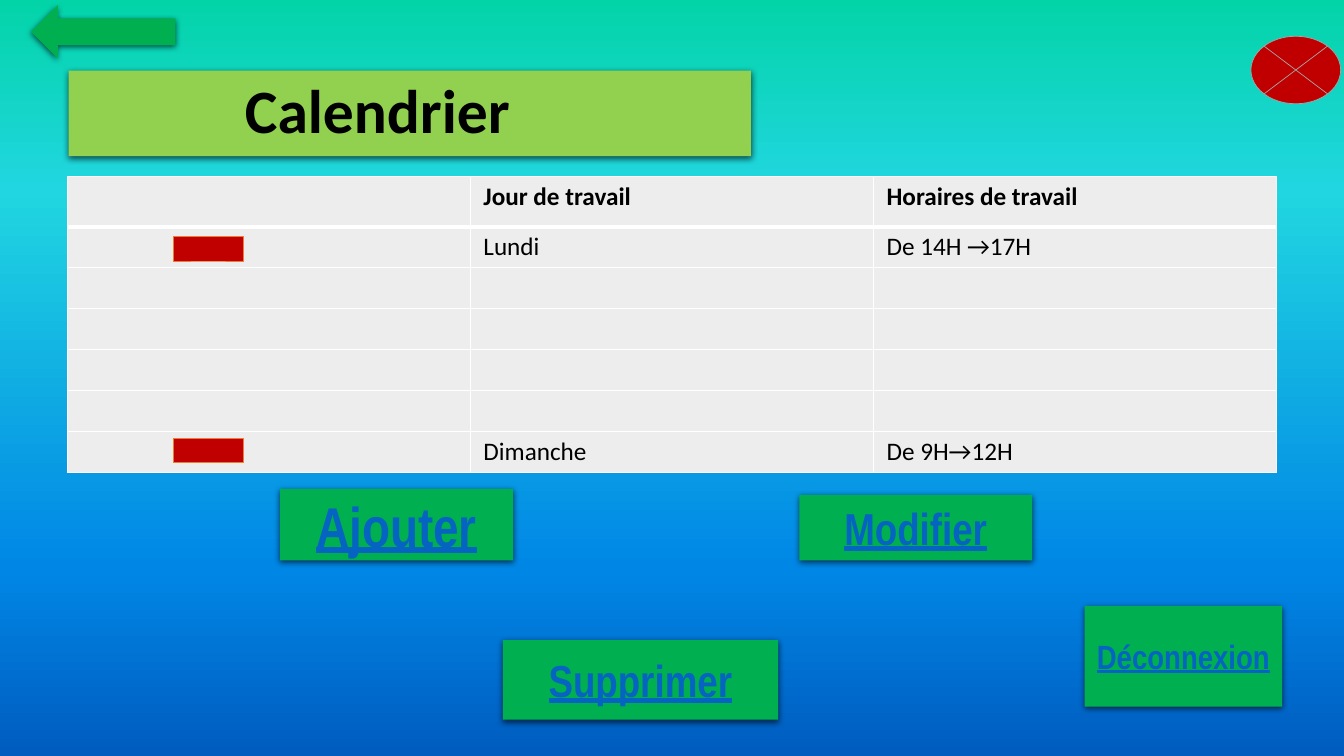
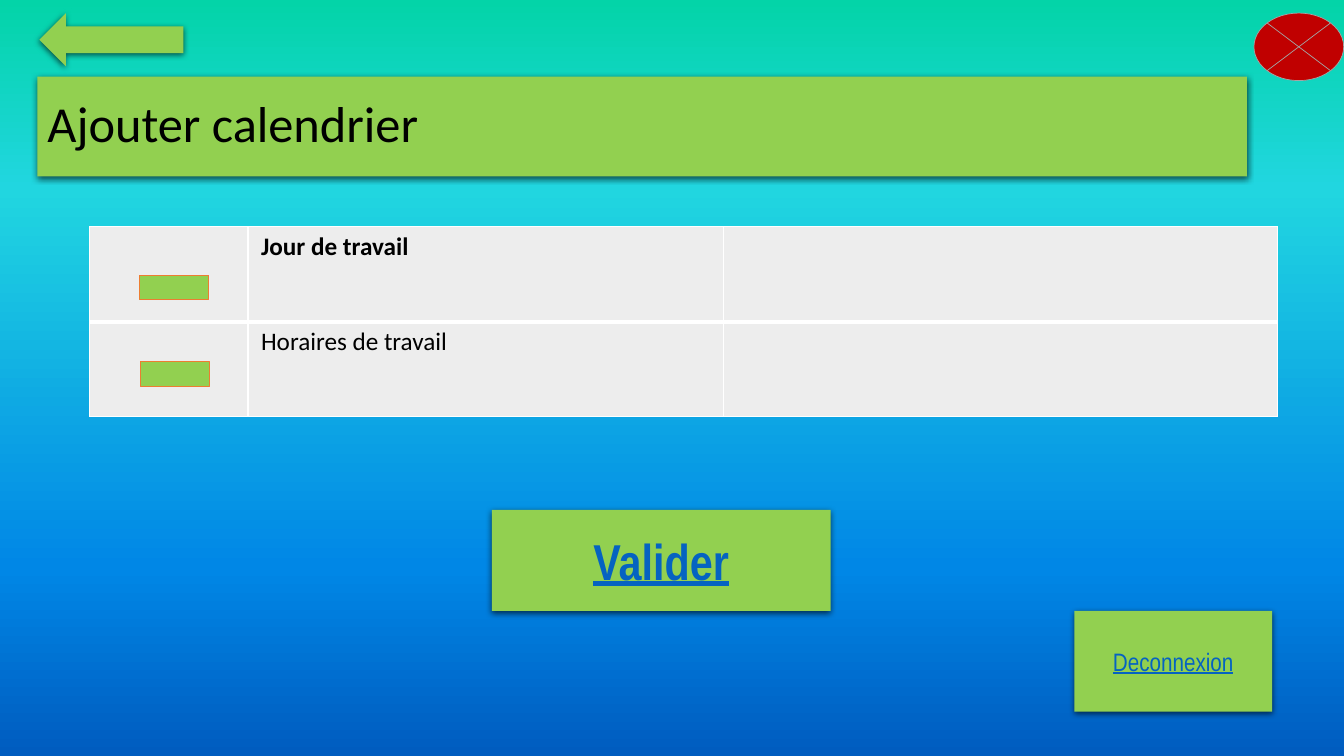
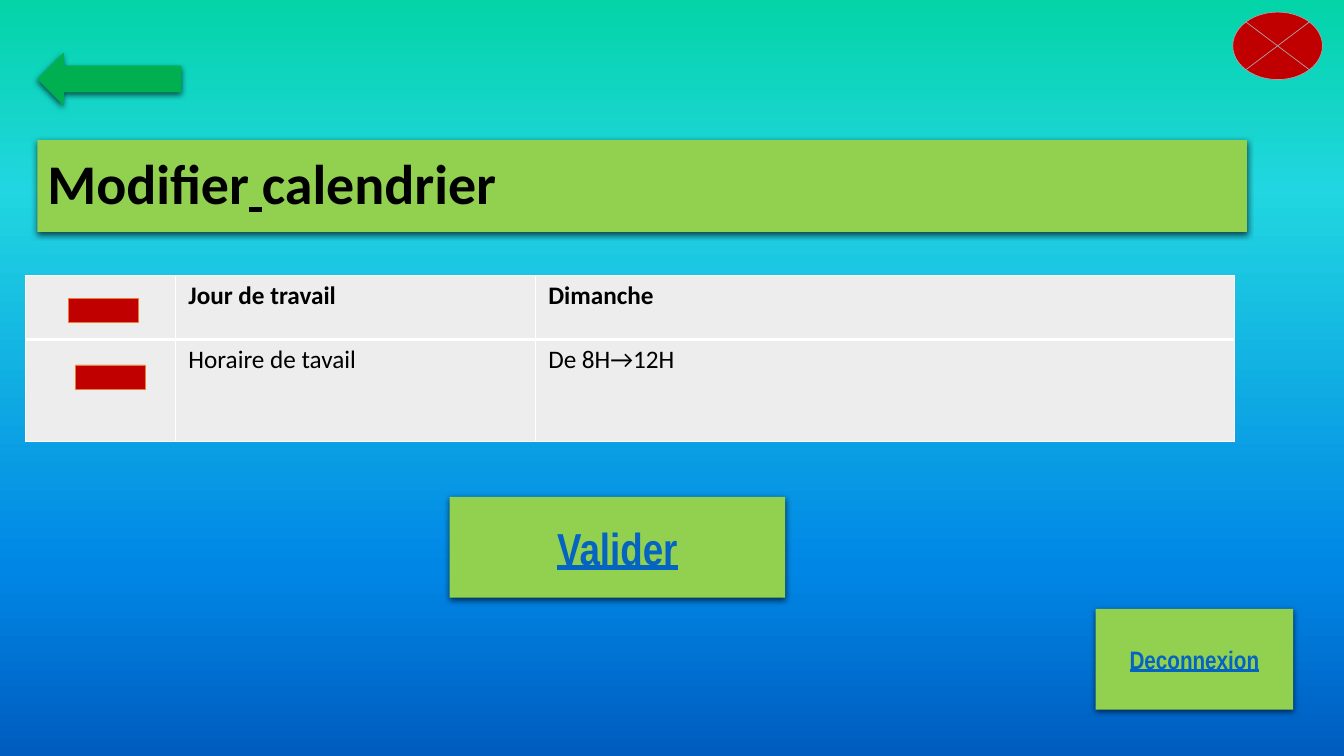
from dataclasses import dataclass

from lxml import etree
from pptx import Presentation
from pptx import util as u
from pptx.dml.color import RGBColor
from pptx.enum import shapes, text
from pptx.oxml import ns

COLUMNS, ROWS = 160, 90
SLIDE_WIDTH, SLIDE_HEIGHT = u.Inches(13.333), u.Inches(7.5)
COLOURS = {
    "lime": "92D050",
    "green": "00B050",
    "red": "C00000",
    "orange": "ED7D31",
    "grey": "A5A5A5",
    "cell": "EDEDED",
    "white": "FFFFFF",
    "black": "000000",
    "link": "0563C1",
}
GRADIENT = {0: "03D4A8", 25: "21D6E0", 75: "0087E6", 100: "005CBF"}
TITLE_FONT, BUTTON_FONT = "Calibri", "Arial Narrow"
ARROW_SIZE = (17.16, 6.36)
CLOSE_SIZE = (10.68, 8.04)
LOGOUT_SIZE = (23.52, 12)
MARKER_SIZE = (8.28, 2.88)
Point = tuple[float, float]


@dataclass(frozen=True)
class Box:
    left: float
    top: float
    width: float
    height: float


@dataclass(frozen=True)
class Title:
    box: Box
    words: tuple[str, ...]
    size: int
    bold: bool = True
    indent: float = 1.2
    underline_gap: bool = False


@dataclass(frozen=True)
class Button:
    box: Box
    label: str
    size: int
    bold: bool = True


@dataclass(frozen=True)
class Grid:
    corner: Point
    widths: tuple[float, ...]
    heights: tuple[float, ...]
    cells: tuple[tuple[str, ...], ...]


@dataclass(frozen=True)
class Page:
    title: Title
    grid: Grid
    buttons: tuple[Button, ...]
    arrow: Point
    close: Point
    markers: tuple[Point, ...]
    arrow_colour: str
    button_colour: str
    marker_colour: str


EMPTY_ROW = ("", "", "")
PAGES = (
    Page(
        title=Title(Box(8.16, 8.4, 81.24, 10.2), ("Calendrier",), 44, indent=21),
        grid=Grid(
            (8, 21), (48,) * 3, (6,) + (4.88,) * 6,
            (
                ("", "Jour de travail", "Horaires de travail"),
                ("", "Lundi", "De 14H →17H"),
                *(EMPTY_ROW,) * 4,
                ("", "Dimanche", "De 9H→12H"),
            ),
        ),
        buttons=(
            Button(Box(33.36, 58.2, 27.72, 8.52), "Ajouter", 40),
            Button(Box(95.16, 58.92, 27.72, 7.8), "Modifier", 32),
            Button(Box(59.88, 76.2, 32.76, 9.48), "Supprimer", 32),
            Button(Box(129.12, 72.12, *LOGOUT_SIZE), "Déconnexion", 24),
        ),
        arrow=(3.72, 0.6),
        close=(148.92, 4.32),
        markers=((20.64, 28.2), (20.64, 52.2)),
        arrow_colour="green", button_colour="green", marker_colour="red",
    ),
    Page(
        title=Title(Box(4.44, 9.12, 144, 11.88), ("Ajouter", "calendrier"), 36, bold=False),
        grid=Grid(
            (10.68, 27), (18.84, 56.64, 65.9), (11.3, 11.3),
            (("", "Jour de travail", ""), ("", "Horaires de travail", "")),
        ),
        buttons=(
            Button(Box(58.56, 60.72, 40.32, 12), "Valider", 36),
            Button(Box(127.92, 72.72, *LOGOUT_SIZE), "Deconnexion", 18, bold=False),
        ),
        arrow=(4.68, 1.56),
        close=(149.28, 1.56),
        markers=((16.68, 43.08), (16.56, 32.76)),
        arrow_colour="lime", button_colour="lime", marker_colour="lime",
    ),
    Page(
        title=Title(Box(4.44, 16.68, 144, 10.92), ("Modifier", "calendrier"), 40,
                    underline_gap=True),
        grid=Grid(
            (3, 32.76), (17.88, 42.84, 83.28), (7.65, 12.2),
            (("", "Jour de travail", "Dimanche"), ("", "Horaire de tavail", "De 8H→12H")),
        ),
        buttons=(
            Button(Box(53.52, 59.16, 39.96, 12), "Valider", 32),
            Button(Box(130.44, 72.48, *LOGOUT_SIZE), "Deconnexion", 18),
        ),
        arrow=(4.44, 6.24),
        close=(146.76, 1.44),
        markers=((8.16, 35.52), (9, 43.44)),
        arrow_colour="green", button_colour="lime", marker_colour="red",
    ),
)


def across(columns: float) -> int:
    return round(SLIDE_WIDTH * columns / COLUMNS)


def down(rows: float) -> int:
    return round(SLIDE_HEIGHT * rows / ROWS)


def place(box: Box) -> tuple[int, int, int, int]:
    return across(box.left), down(box.top), across(box.width), down(box.height)


def rgb(name: str) -> RGBColor:
    return RGBColor.from_string(COLOURS[name])


def add_xml(parent, tag: str, **attributes):
    values = {name: str(value) for name, value in attributes.items()}
    return etree.SubElement(parent, ns.qn(tag), values)


def paint_background(master) -> None:
    fill = master.background.fill
    fill.gradient()
    fill.gradient_angle = 270
    stops = master.element.find(".//" + ns.qn("a:gsLst"))
    for stop in list(stops):
        stops.remove(stop)
    for percent, colour in GRADIENT.items():
        stop = add_xml(stops, "a:gs", pos=percent * 1000)
        add_xml(stop, "a:srgbClr", val=colour)


def add_figure(slide, kind, box: Box, fill: str, line: str | None = None):
    shape = slide.shapes.add_shape(kind, *place(box))
    shape.fill.solid()
    shape.fill.fore_color.rgb = rgb(fill)
    shape.shadow.inherit = False
    if line:
        shape.line.color.rgb = rgb(line)
        shape.line.width = u.Pt(0.5)
    else:
        shape.line.fill.background()
    return shape


def add_raised(slide, kind, box: Box, fill: str):
    shape = add_figure(slide, kind, box, fill)
    effects = shape.element.spPr.find(ns.qn("a:effectLst"))
    shadow = add_xml(effects, "a:outerShdw", blurRad=u.Pt(4.5), dist=u.Pt(1.5),
                     dir=5400000, algn="ctr", rotWithShape=0)
    colour = add_xml(shadow, "a:srgbClr", val=COLOURS["black"])
    add_xml(colour, "a:alpha", val=63000)
    return shape


def style(paragraph, name: str, size: int, colour: str, bold: bool) -> None:
    font = paragraph.font
    font.name, font.size, font.bold = name, u.Pt(size), bold
    font.color.rgb = rgb(colour)


def add_title(slide, title: Title) -> None:
    shape = add_raised(slide, shapes.MSO_SHAPE.RECTANGLE, title.box, "lime")
    frame = shape.text_frame
    frame.word_wrap = True
    frame.vertical_anchor = text.MSO_ANCHOR.MIDDLE
    frame.margin_left = across(title.indent)
    paragraph = frame.paragraphs[0]
    paragraph.alignment = text.PP_ALIGN.LEFT
    paragraph.line_spacing = 0.9
    style(paragraph, TITLE_FONT, title.size, "black", title.bold)
    for index, word in enumerate(title.words):
        if index:
            gap = paragraph.add_run()
            gap.text = " "
            gap.font.underline = title.underline_gap
        paragraph.add_run().text = word


def add_button(slide, button: Button, fill: str) -> None:
    shape = add_raised(slide, shapes.MSO_SHAPE.RECTANGLE, button.box, fill)
    frame = shape.text_frame
    frame.word_wrap = True
    frame.vertical_anchor = text.MSO_ANCHOR.MIDDLE
    frame.text = button.label
    paragraph = frame.paragraphs[0]
    paragraph.alignment = text.PP_ALIGN.CENTER
    style(paragraph, BUTTON_FONT, button.size, "link", button.bold)
    paragraph.font.underline = True


def add_borders(cell, row: int) -> None:
    properties = cell._tc.get_or_add_tcPr()
    widths = {"L": 1, "R": 1, "T": 3 if row == 1 else 1, "B": 3 if row == 0 else 1}
    for side, width in widths.items():
        line = add_xml(properties, f"a:ln{side}", w=u.Pt(width))
        fill = add_xml(line, "a:solidFill")
        add_xml(fill, "a:srgbClr", val=COLOURS["white"])


def add_grid(slide, grid: Grid) -> None:
    box = Box(*grid.corner, sum(grid.widths), sum(grid.heights))
    table = slide.shapes.add_table(len(grid.heights), len(grid.widths), *place(box)).table
    table.first_row = table.horz_banding = False
    for column, width in zip(table.columns, grid.widths):
        column.width = across(width)
    for row, height in zip(table.rows, grid.heights):
        row.height = down(height)
    for row, labels in enumerate(grid.cells):
        for column, label in enumerate(labels):
            cell = table.cell(row, column)
            cell.margin_left = cell.margin_right = u.Inches(0.13)
            cell.margin_top = cell.margin_bottom = u.Inches(0.05)
            add_borders(cell, row)
            cell.fill.solid()
            cell.fill.fore_color.rgb = rgb("cell")
            cell.text = label
            style(cell.text_frame.paragraphs[0], TITLE_FONT, 18, "black", row == 0)


def add_page(presentation, page: Page) -> None:
    slide = presentation.slides.add_slide(presentation.slide_layouts[6])
    kinds = shapes.MSO_SHAPE
    add_title(slide, page.title)
    add_grid(slide, page.grid)
    for button in page.buttons:
        add_button(slide, button, page.button_colour)
    add_raised(slide, kinds.LEFT_ARROW, Box(*page.arrow, *ARROW_SIZE), page.arrow_colour)
    add_figure(slide, kinds.FLOWCHART_SUMMING_JUNCTION, Box(*page.close, *CLOSE_SIZE),
               "red", "grey")
    for marker in page.markers:
        add_figure(slide, kinds.RECTANGLE, Box(*marker, *MARKER_SIZE),
                   page.marker_colour, "orange")


def main() -> None:
    presentation = Presentation()
    presentation.slide_width, presentation.slide_height = SLIDE_WIDTH, SLIDE_HEIGHT
    paint_background(presentation.slide_master)
    for page in PAGES:
        add_page(presentation, page)
    presentation.save("out.pptx")


if __name__ == "__main__":
    main()
